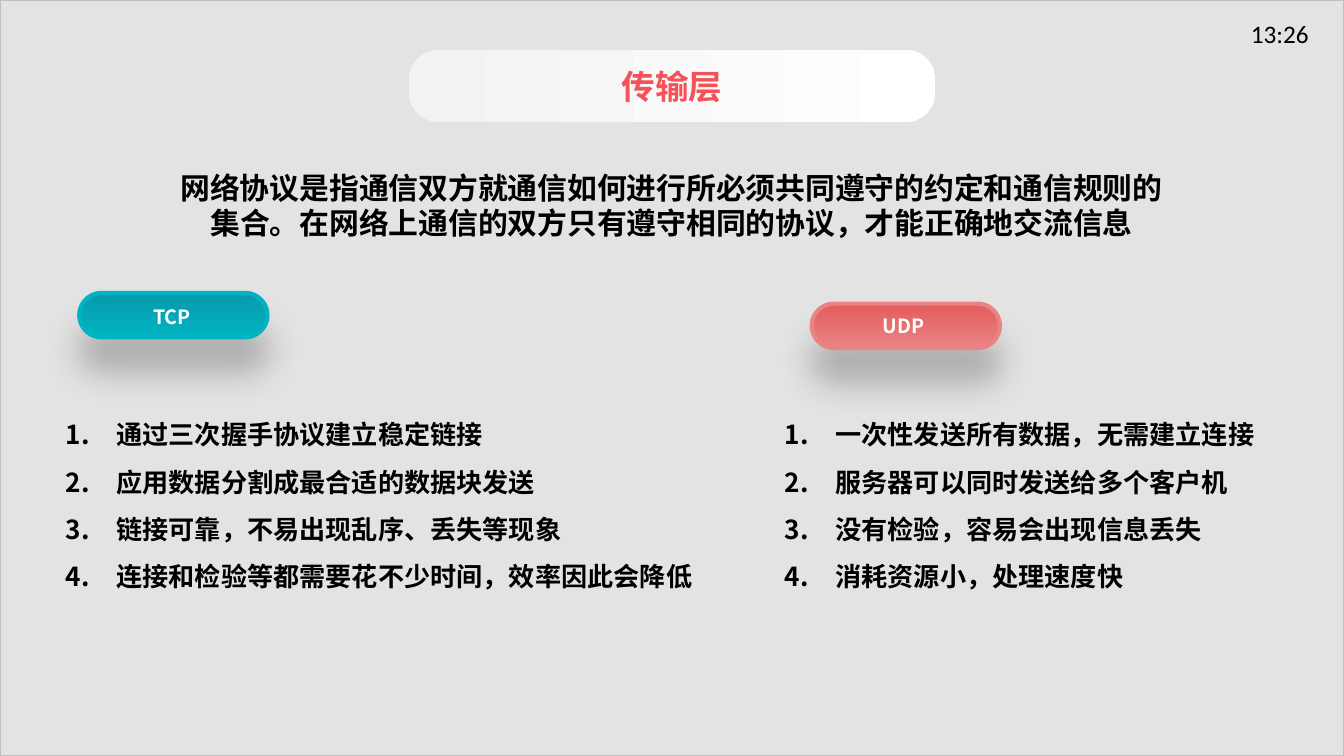
from lxml.etree import SubElement
from pptx import Presentation
from pptx.dml.color import RGBColor
from pptx.enum.shapes import MSO_SHAPE
from pptx.enum.text import MSO_ANCHOR, MSO_AUTO_SIZE, PP_ALIGN
from pptx.oxml import parse_xml
from pptx.oxml.ns import nsdecls, qn
from pptx.util import Inches, Pt

CJK = "Noto Sans CJK SC"


def color(hex_text):
    return RGBColor.from_string(hex_text)


def write(shape, lines, size, font=CJK, hex_color="000000", bold=True,
          align=PP_ALIGN.LEFT, anchor=MSO_ANCHOR.TOP, wrap=True,
          numbered=False, line_spacing=1.0):
    frame = shape.text_frame
    frame.word_wrap = wrap
    frame.auto_size = MSO_AUTO_SIZE.NONE
    frame.vertical_anchor = anchor
    frame.margin_left = frame.margin_right = Inches(0.1)
    frame.margin_top = frame.margin_bottom = Inches(0.05)
    for index, line in enumerate(lines):
        paragraph = frame.paragraphs[0] if index == 0 else frame.add_paragraph()
        paragraph.alignment = align
        paragraph.line_spacing = line_spacing
        paragraph.space_before = Pt(0)
        if numbered:
            properties = paragraph._p.get_or_add_pPr()
            properties.set("marL", str(Pt(27)))
            properties.set("indent", str(-Pt(27)))
            SubElement(properties, qn("a:buFont"), typeface="+mj-lt")
            SubElement(properties, qn("a:buAutoNum"), type="arabicPeriod")
        run = paragraph.add_run()
        run.text = line
        run.font.name = font
        run.font.size = Pt(size)
        run.font.bold = bold
        run.font.color.rgb = color(hex_color)
        SubElement(run._r.get_or_add_rPr(), qn("a:ea"), typeface=font)


# Slide in 16:9
presentation = Presentation()
presentation.slide_width = Inches(10)
presentation.slide_height = Inches(10) * 9 // 16
slide = presentation.slides.add_slide(presentation.slide_layouts[3])
shapes = slide.shapes

# Translucent grey backdrop, behind everything
backdrop = shapes.add_shape(MSO_SHAPE.RECTANGLE, 0, 0,
                            presentation.slide_width, presentation.slide_height)
backdrop.shadow.inherit = False
backdrop.fill.solid()
backdrop.fill.fore_color.rgb = color("808080")
SubElement(backdrop._element.spPr.find(".//" + qn("a:srgbClr")),
           qn("a:alpha"), val="22000")
backdrop.line.color.rgb = color("BFBFBF")
backdrop.line.width = Pt(1)
shapes._spTree.insert(2, backdrop._element)

# Clock
clock = shapes.add_textbox(Inches(9.21), Inches(0.09), Inches(0.67), Inches(0.28))
write(clock, ["13:26"], 13.5, font="Calibri", bold=False, wrap=False)

# Rounded bar behind the title
title_box = (Inches(3.04), Inches(0.37), Inches(3.92), Inches(0.54))
bar = shapes.add_shape(MSO_SHAPE.ROUNDED_RECTANGLE, *title_box)
bar.adjustments[0] = 0.42
bar.shadow.inherit = False
bar.line.fill.background()
bar.fill.gradient()
bar.fill.gradient_angle = 0
for stop, hex_color in zip(bar.fill.gradient_stops, ("F2F2F2", "FFFFFF")):
    stop.color.rgb = color(hex_color)
shapes._spTree.insert(3, bar._element)

title = shapes.title
title.left, title.top, title.width, title.height = title_box
write(title, ["传输层"], 18, hex_color="F45159",
      align=PP_ALIGN.CENTER, anchor=MSO_ANCHOR.MIDDLE)

# Introduction
introduction = shapes.add_textbox(Inches(1.19), Inches(1.21), Inches(7.62), Inches(0.64))
write(introduction,
      ["网络协议是指通信双方就通信如何进行所必须共同遵守的约定和通信规则的集合。"
       "在网络上通信的双方只有遵守相同的协议，才能正确地交流信息"],
      16, align=PP_ALIGN.CENTER)

# Protocol columns: button with shadow, then numbered list
protocols = [
    # name, button left, top, label left, top, width, gradient, list left, width, points
    ("TCP", 0.59, 2.18, 1.04, 2.22, 0.49, ("0699AC", "02B3C1"), 0.39, 4.88,
     ["通过三次握手协议建立稳定链接",
      "应用数据分割成最合适的数据块发送",
      "链接可靠，不易出现乱序、丢失等现象",
      "连接和检验等都需要花不少时间，效率因此会降低"]),
    ("UDP", 6.04, 2.26, 6.47, 2.29, 0.53, ("E45C5B", "EA8384"), 5.74, 3.87,
     ["一次性发送所有数据，无需建立连接",
      "服务器可以同时发送给多个客户机",
      "没有检验，容易会出现信息丢失",
      "消耗资源小，处理速度快"]),
]
for number, (name, left, top, label_left, label_top, label_width, gradient,
             list_left, list_width, points) in enumerate(protocols, start=1):
    group = shapes.add_group_shape()
    button = group.shapes.add_shape(MSO_SHAPE.ROUNDED_RECTANGLE, Inches(left),
                                    Inches(top), Inches(1.4), Inches(0.33))
    button.adjustments[0] = 0.5
    button.fill.gradient()
    button.fill.gradient_angle = 270
    for stop, hex_color in zip(button.fill.gradient_stops, gradient):
        stop.color.rgb = color(hex_color)
    button.line.color.rgb = color(gradient[1])
    button.line.width = Pt(2.25)
    button._element.spPr.append(parse_xml(
        f'<a:effectLst {nsdecls("a")}><a:outerShdw blurRad="{Pt(18)}" '
        f'dist="{Pt(18)}" dir="5400000" algn="t" rotWithShape="0">'
        '<a:srgbClr val="262626"><a:alpha val="28000"/></a:srgbClr>'
        '</a:outerShdw></a:effectLst>'))
    label = group.shapes.add_textbox(Inches(label_left), Inches(label_top),
                                     Inches(label_width), Inches(0.28))
    write(label, [name], 10.5, hex_color="FFFFFF", wrap=False)

    body = slide.placeholders[number]
    body.left, body.top = Inches(list_left), Inches(2.95)
    body.width, body.height = Inches(list_width), Inches(1.48)
    write(body, points, 14, numbered=True, line_spacing=1.5)

presentation.save("out.pptx")
